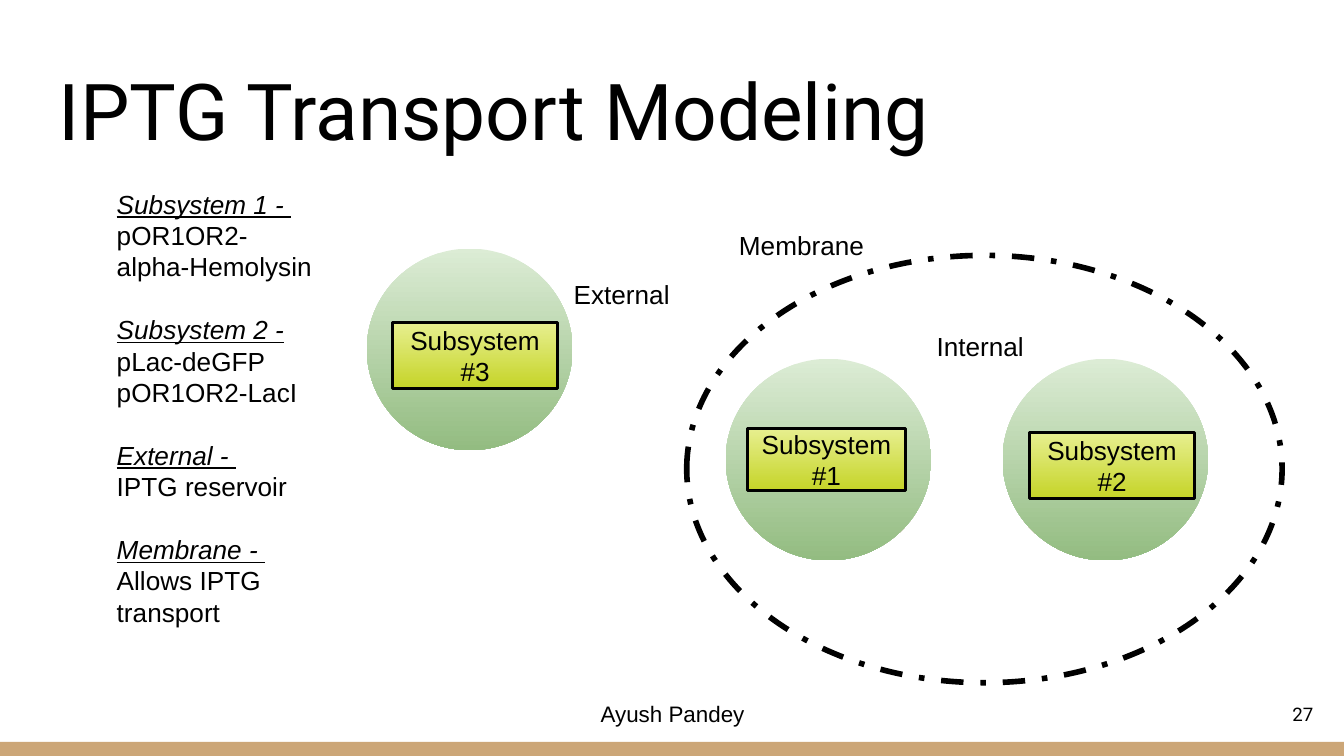
from pptx import Presentation
from pptx import util as u
from pptx.dml.color import RGBColor
from pptx.enum import dml, shapes, text

BLACK = RGBColor(0x00, 0x00, 0x00)
TAN = RGBColor(0xCC, 0xA6, 0x77)
GREENS = RGBColor(0xDC, 0xEC, 0xD5), RGBColor(0x93, 0xBC, 0x81)
LIMES = RGBColor(0xE7, 0xEF, 0x8F), RGBColor(0xC5, 0xD4, 0x28)

LEFT, CENTER, RIGHT = (text.PP_ALIGN.LEFT, text.PP_ALIGN.CENTER,
                       text.PP_ALIGN.RIGHT)
TOP, MIDDLE, BOTTOM = (text.MSO_ANCHOR.TOP, text.MSO_ANCHOR.MIDDLE,
                       text.MSO_ANCHOR.BOTTOM)
OVAL, RECTANGLE = shapes.MSO_SHAPE.OVAL, shapes.MSO_SHAPE.RECTANGLE

LEGEND = [
    [("Subsystem 1 - ", True)],
    [("pOR1OR2-alpha-Hemolysin", False)],
    [("Subsystem 2 - ", True), ("pLac-deGFP", False)],
    [("pOR1OR2-LacI", False)],
    [("External - ", True)],
    [("IPTG reservoir", False)],
    [("Membrane - ", True)],
    [("Allows IPTG transport", False)],
]
CELLS = [
    ("Subsystem #3", (2.73, 1.85), (2.92, 2.4, 1.23, 0.49)),
    ("Subsystem #2", (7.46, 2.67), (7.66, 3.22, 1.23, 0.49)),
    ("Subsystem #1", (5.4, 2.67), (5.56, 3.19, 1.18, 0.46)),
]
REGIONS = [
    ("External", (4.17, 1.97, 0.97, 0.38)),
    ("Internal", (6.87, 2.36, 0.97, 0.38)),
    ("Membrane", (5.4, 1.61, 1.57, 0.38)),
]


def inches(box):
    return [u.Inches(length) for length in box]


def apply(target, values):
    for name, value in values.items():
        setattr(target, name, value)


def write(frame, paragraphs, size=14, font="Arial", align=LEFT, anchor=TOP,
          inset=0.1):
    """Fill a frame with paragraphs of (words, is_heading) runs."""
    side, edge = u.Inches(0.1), u.Inches(inset)
    apply(frame, dict(word_wrap=True, vertical_anchor=anchor,
                      margin_left=side, margin_right=side,
                      margin_top=edge, margin_bottom=edge))
    for index, runs in enumerate(paragraphs):
        line = frame.add_paragraph() if index else frame.paragraphs[0]
        line.alignment = align
        if index and runs[0][1]:
            line.space_before = u.Pt(16.8)
        for words, heading in runs:
            run = line.add_run()
            run.text = words
            apply(run.font, dict(name=font, size=u.Pt(size),
                                 italic=heading, underline=heading))
            run.font.color.rgb = BLACK


def add_label(slide, words, box, **style):
    label = slide.shapes.add_textbox(*inches(box))
    write(label.text_frame, [[(words, False)]], **style)


def add_body(slide, kind, box, colors=(), outline=None, dash=None):
    """Draw a preset shape with no, one or two fill colours."""
    body = slide.shapes.add_shape(kind, *inches(box))
    body.shadow.inherit = False
    if len(colors) == 2:
        body.fill.gradient()
        body.fill.gradient_angle = 270
        for stop, color in zip(body.fill.gradient_stops, colors):
            stop.color.rgb = color
    elif colors:
        body.fill.solid()
        body.fill.fore_color.rgb = colors[0]
    else:
        body.fill.background()
    if outline:
        body.line.color.rgb = BLACK
        apply(body.line, dict(width=u.Pt(outline), dash_style=dash))
    else:
        body.line.fill.background()
    return body


def add_cell(slide, name, corner, tag_box):
    add_body(slide, OVAL, (*corner, 1.53, 1.5), GREENS)
    tag = add_body(slide, RECTANGLE, tag_box, LIMES, outline=1.5)
    write(tag.text_frame, [[(name, False)]], align=CENTER, anchor=MIDDLE)


def main():
    deck = Presentation()
    width = u.Inches(10)
    apply(deck, dict(slide_width=width, slide_height=width * 9 // 16))
    slide = deck.slides.add_slide(deck.slide_layouts[6])

    add_body(slide, RECTANGLE, (0, 5.52, 10, 0.11), [TAN])
    add_label(slide, "Ayush Pandey", (4.34, 5.16, 1.33, 0.3), size=12,
              align=CENTER, inset=0.05)
    add_label(slide, "IPTG Transport Modeling", (0.34, 0.35, 9.32, 0.91),
              size=42, font="Roboto", anchor=BOTTOM)
    legend = slide.shapes.add_textbox(*inches((0.77, 1.3, 1.71, 3.83)))
    write(legend.text_frame, LEGEND)

    add_body(slide, OVAL, (5.11, 1.9, 4.43, 3.18), outline=3,
             dash=dml.MSO_LINE.DASH_DOT)
    for cell in CELLS:
        add_cell(slide, *cell)
    for words, box in REGIONS:
        add_label(slide, words, box)
    add_label(slide, "27", (9.27, 5.1, 0.6, 0.43), size=10, font="Roboto",
              align=RIGHT, anchor=MIDDLE)
    deck.save("out.pptx")


if __name__ == "__main__":
    main()
